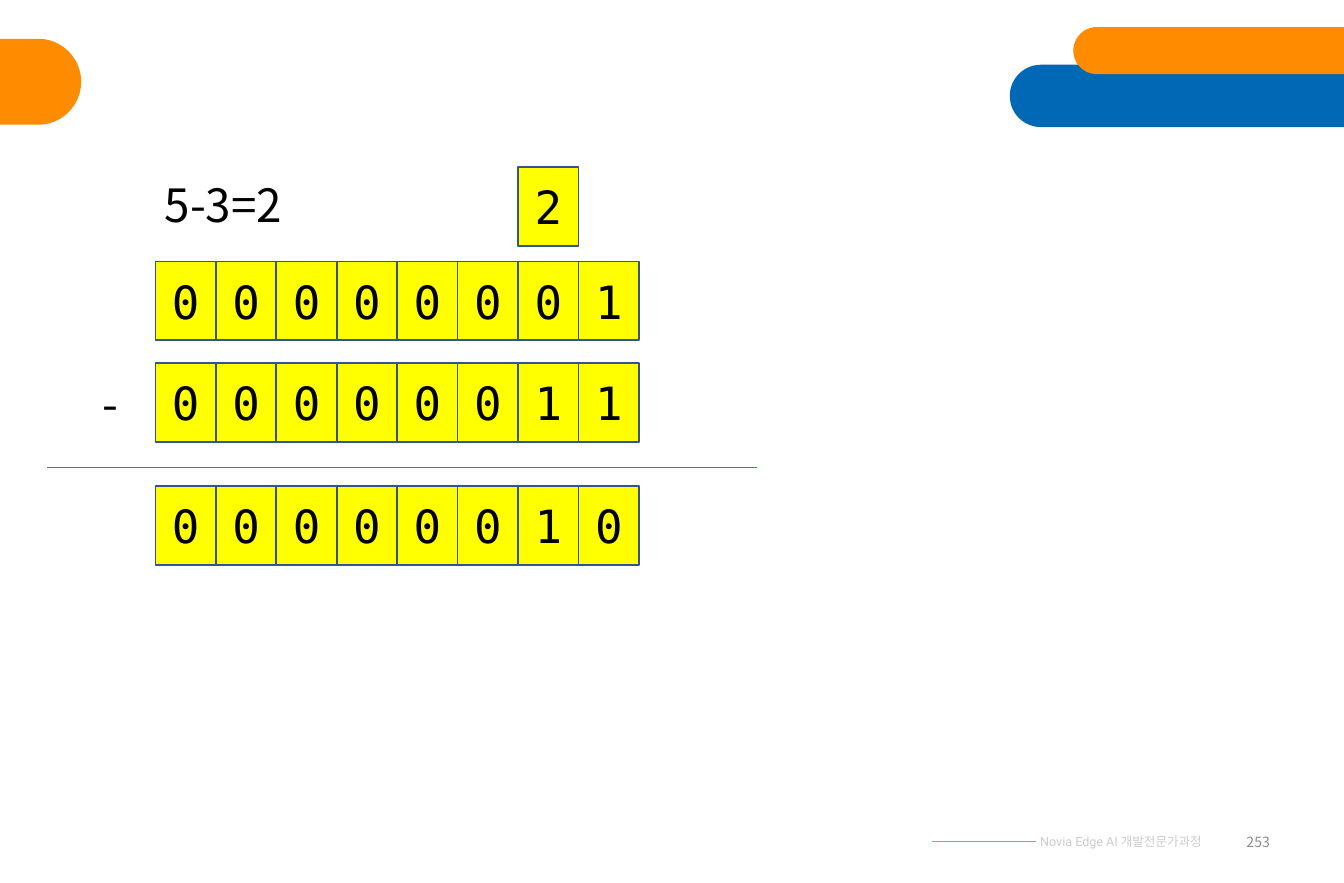
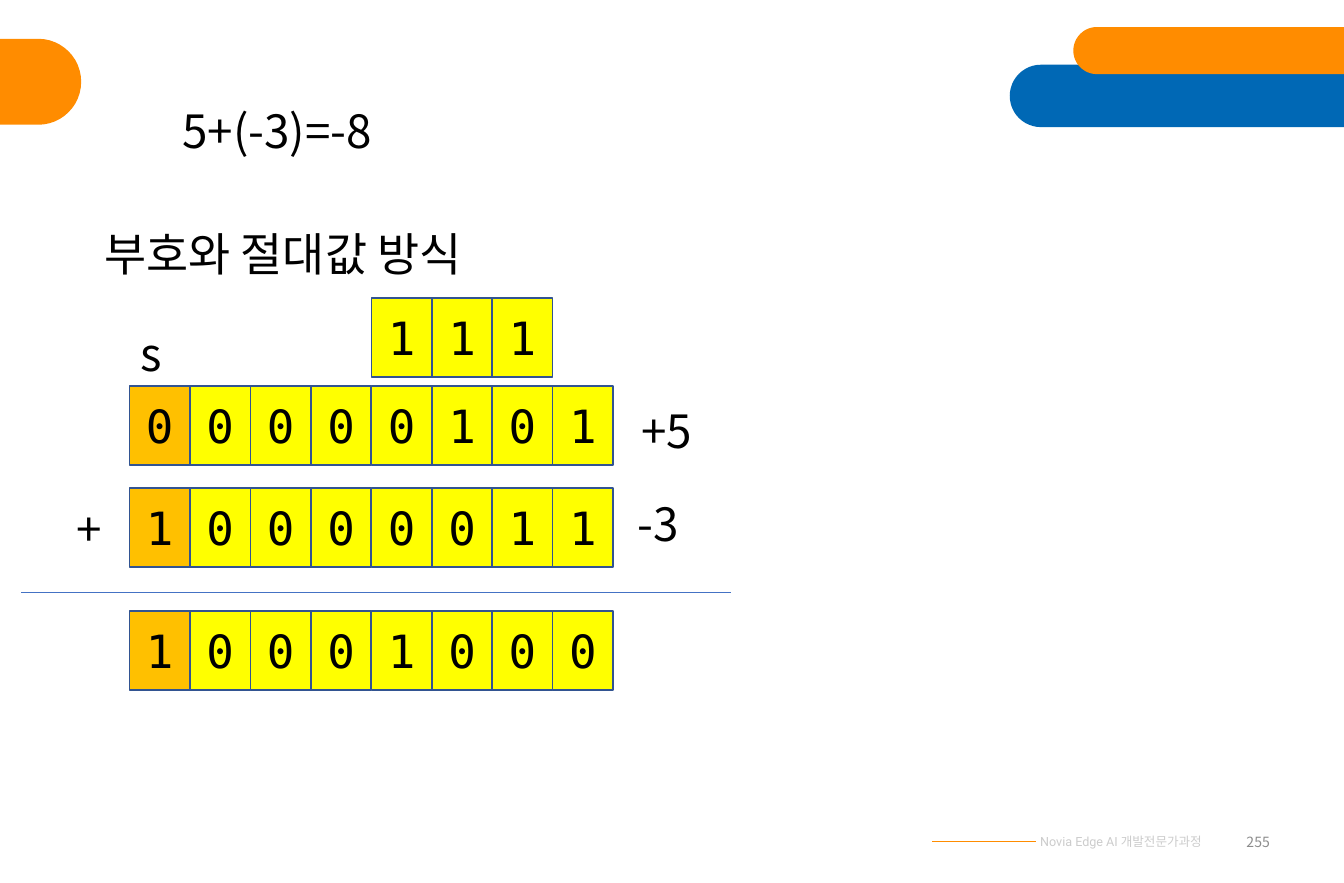
from collections import namedtuple

from pptx import Presentation
from pptx import util as u
from pptx.dml.color import RGBColor
from pptx.enum import shapes, text
from pptx.oxml.ns import qn
from lxml import etree

Box = namedtuple("Box", "left top width height")

SLIDE = Box(0, 0, 11.42, 7.5)
BITS = 8
COLORS = {
    "orange": "FF8C00", "blue": "0068B5", "rule": "4472C4", "border": "325491",
    "bit": "FFFF00", "sign": "FFC000", "ink": "000000",
    "footer": "CCCCCC", "number": "8C8C8C",
}
SANS, MONO, LATIN = "Noto Sans CJK KR", "DejaVu Sans Mono", "Roboto"
BANDS = [
    (Box(-0.45, 0.33, 1.14, 0.73), "orange"),
    (Box(8.58, 0.55, 3.25, 0.53), "blue"),
    (Box(9.12, 0.23, 3.15, 0.4), "orange"),
]
ALIGN, ANCHOR = text.PP_ALIGN, text.MSO_ANCHOR


def color(name):
    """Return the named palette colour."""
    return RGBColor.from_string(COLORS[name])


def inches(box):
    """Convert a box to four lengths."""
    return [u.Inches(value) for value in box]


def write(shape, words, size=28, font=SANS, ink="ink", align=ALIGN.LEFT,
          anchor=ANCHOR.TOP, wrap=False):
    """Write one formatted run into a shape."""
    frame = shape.text_frame
    frame.word_wrap = wrap
    frame.auto_size = text.MSO_AUTO_SIZE.NONE
    frame.vertical_anchor = anchor
    paragraph = frame.paragraphs[0]
    paragraph.alignment = align
    run = paragraph.add_run()
    run.text = words
    run.font.size = u.Pt(size)
    run.font.name = font
    run.font.color.rgb = color(ink)
    east_asian = etree.SubElement(run.font._element, qn("a:ea"))
    east_asian.set("typeface", SANS)


def add_label(slide, box, words, **style):
    """Add a text box."""
    write(slide.shapes.add_textbox(*inches(box)), words, **style)


def add_block(slide, kind, box, fill):
    """Add a filled shape without shadow or outline."""
    shape = slide.shapes.add_shape(kind, *inches(box))
    shape.shadow.inherit = False
    shape.fill.solid()
    shape.fill.fore_color.rgb = color(fill)
    shape.line.fill.background()
    return shape


def add_rule(slide, left, top, width, line):
    """Add a thin horizontal line."""
    rule = slide.shapes.add_connector(
        shapes.MSO_CONNECTOR.STRAIGHT, *inches((left, top, left + width, top)))
    rule.line.color.rgb = color(line)
    rule.line.width = u.Pt(0.5)
    etree.SubElement(rule._element.spPr, qn("a:effectLst"))


def add_frame(slide, number):
    """Add the bands, footer and page number shared by all slides."""
    for box, fill in BANDS:
        band = add_block(slide, shapes.MSO_SHAPE.ROUNDED_RECTANGLE, box, fill)
        band.adjustments[0] = 0.5
    add_label(slide, Box(7.81, 7.03, 2.5, 0.23), "Novia Edge AI 개발전문가과정",
              size=7.7, font=LATIN, ink="footer", align=ALIGN.RIGHT, wrap=True)
    for width in (0.19, 0.88):
        add_rule(slide, 7.92, 7.15, width, "orange")
    add_label(slide, Box(10.26, 6.95, 0.63, 0.4), number, size=8.6, ink="number",
              align=ALIGN.RIGHT, anchor=ANCHOR.MIDDLE, wrap=True)


def add_digits(slide, box, digits, top, column=0, signed=False):
    """Add a row of digit cells on the column grid of a box."""
    pitch = box.width / BITS
    for index, digit in enumerate(digits, column):
        fill = "sign" if signed and index == 0 else "bit"
        cell = add_block(
            slide, shapes.MSO_SHAPE.RECTANGLE,
            Box(box.left + index * pitch, top, pitch, 0.26 * box.height), fill)
        cell.line.color.rgb = color("border")
        cell.line.width = u.Pt(1)
        frame = cell.text_frame
        frame.margin_left = frame.margin_right = u.Inches(0.04)
        frame.margin_top = frame.margin_bottom = u.Inches(0.05)
        write(cell, digit, font=MONO, align=ALIGN.CENTER, anchor=ANCHOR.MIDDLE, wrap=True)


def add_calculation(slide, box, operator, operands, result, carry, signed=False):
    """Add carry, two operands, operator, rule and result inside a box."""
    digits, column, rise = carry
    add_digits(slide, box, digits, box.top - rise, column)
    second = box.top + 0.335 * box.height
    rows = zip((*operands, result), (box.top, second, box.top + 0.74 * box.height))
    for bits, top in rows:
        add_digits(slide, box, bits, top, signed=signed)
    add_label(slide, Box(box.left - 0.55, second + 0.06, 0.48, 0.57), operator)
    add_rule(slide, box.left - 0.92, box.top + 0.68 * box.height, 6.03, "rule")


def add_arithmetic_slide(presentation, number, title, title_box, labels=(), **calculation):
    """Add a slide with a title equation, a calculation and labels."""
    slide = presentation.slides.add_slide(presentation.slide_layouts.get_by_name("Title Only"))
    add_frame(slide, number)
    heading = slide.shapes.title
    heading.left, heading.top, heading.width, heading.height = inches(title_box)
    write(heading, title)
    add_calculation(slide, **calculation)
    for words, box in labels:
        add_label(slide, box, words)


def main():
    """Build and save the presentation."""
    presentation = Presentation()
    presentation.slide_width = u.Inches(SLIDE.width)
    presentation.slide_height = u.Inches(SLIDE.height)
    add_arithmetic_slide(
        presentation, "253", "5-3=2", Box(1.3, 1.45, 1.29, 0.57),
        box=Box(1.32, 2.22, 4.11, 2.58), operator="-",
        operands=("00000001", "00000011"), result="00000010", carry=("2", 6, 0.8))
    add_arithmetic_slide(
        presentation, "255", "5+(-3)=-8", Box(1.45, 0.82, 1.96, 0.57),
        labels=[
            ("s", Box(1.1, 2.72, 0.37, 0.57)),
            ("부호와 절대값 방식", Box(0.79, 1.87, 3.62, 0.57)),
            ("+5", Box(5.35, 3.37, 0.69, 0.57)),
            ("-3", Box(5.32, 4.16, 0.58, 0.57)),
        ],
        box=Box(1.1, 3.28, 4.11, 2.58), operator="+",
        operands=("00000101", "10000011"), result="10001000",
        carry=("111", 4, 0.75), signed=True)
    presentation.save("out.pptx")


if __name__ == "__main__":
    main()
